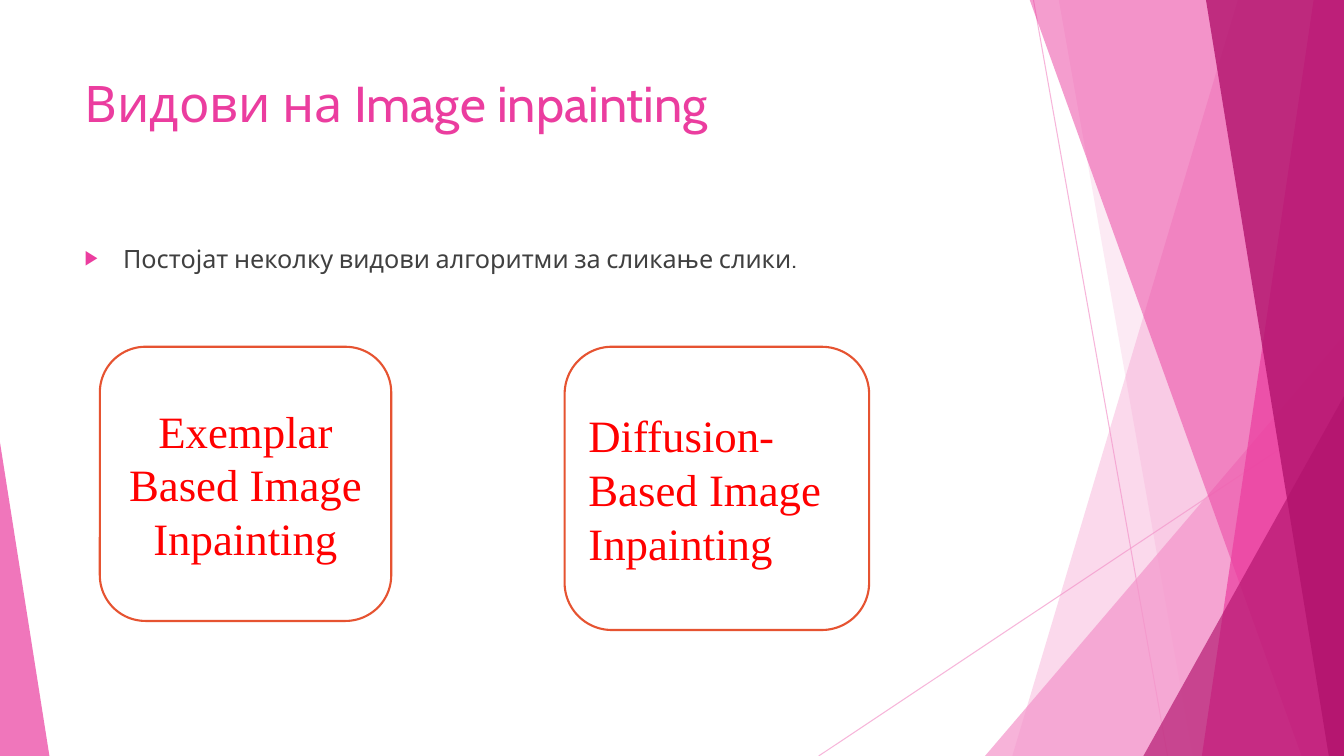
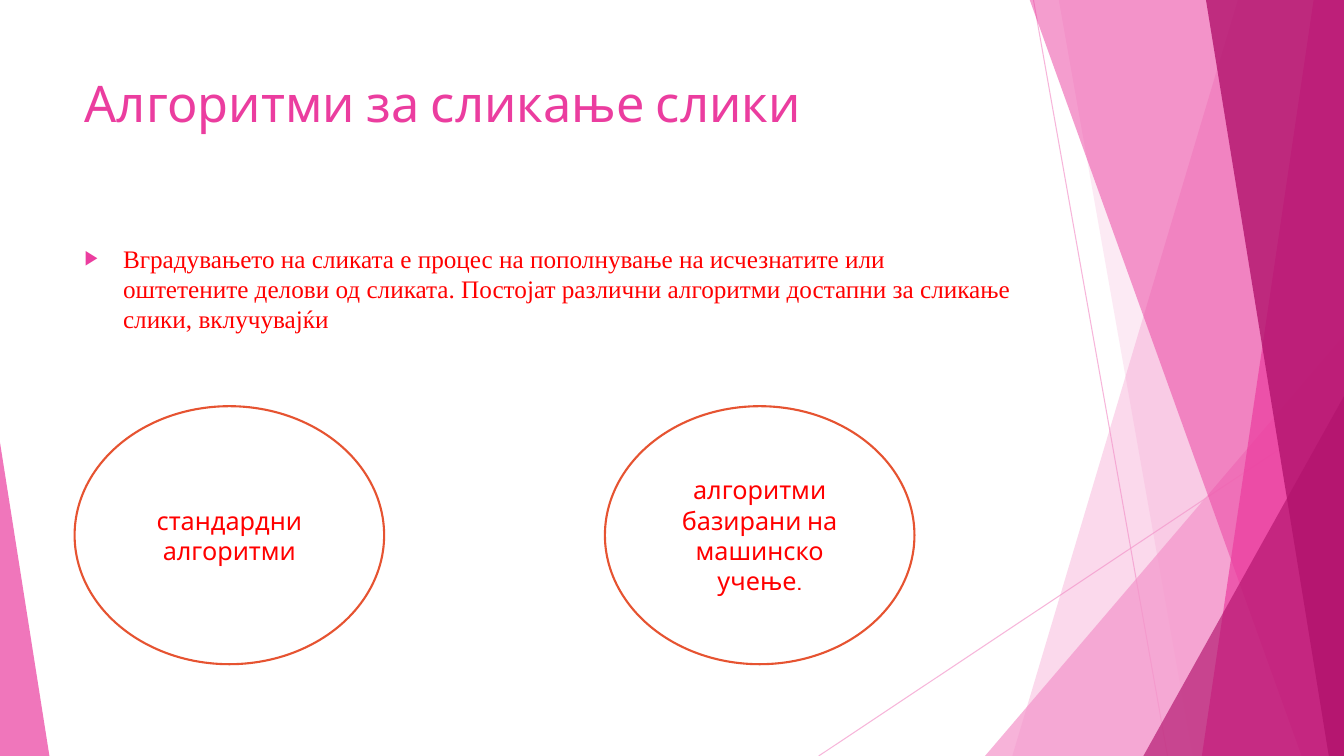
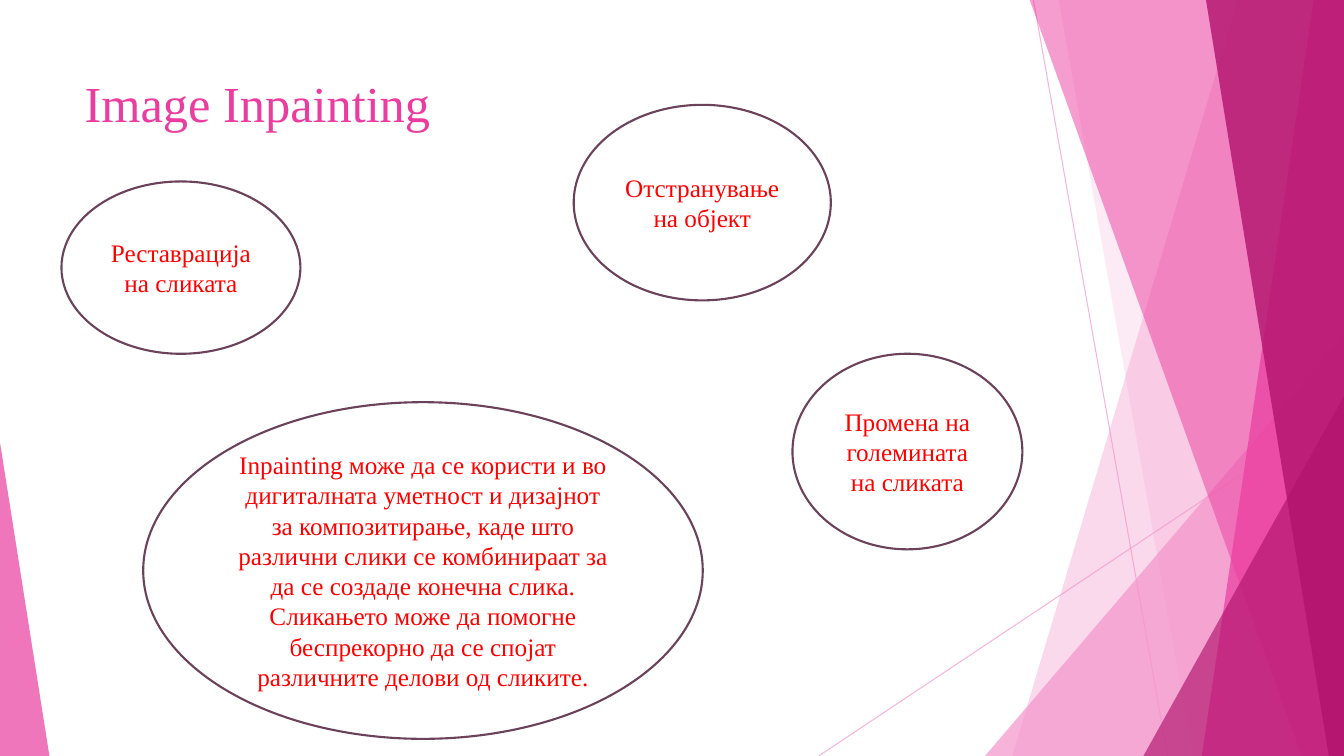
from lxml.etree import SubElement
from pptx import Presentation
from pptx.dml.color import RGBColor
from pptx.enum.shapes import MSO_CONNECTOR, MSO_SHAPE
from pptx.enum.text import MSO_ANCHOR, MSO_AUTO_SIZE, PP_ALIGN
from pptx.oxml.ns import qn
from pptx.util import Inches, Pt

COLORS = {
    "white": "FFFFFF", "text": "404040", "red": "FF0000",
    "light": "F496CB", "pink": "EB3D9F", "deep": "B2136D",
    "orange": "E65331", "plum": "6B4259",
}
SANS, SERIF = "Cabin", "Times New Roman"
WIDTH, HEIGHT = 13.33, 7.5
LEFT, TEXT_WIDTH = 0.74, 9.4
TITLE_ONLY, TITLE_BODY = 5, 1


def rgb(name):
    return RGBColor.from_string(COLORS[name])


class Deck:
    """Holds the style and the current slide."""

    def __init__(self):
        self.prs = Presentation()
        self.prs.slide_width = Inches(WIDTH)
        self.prs.slide_height = Inches(HEIGHT)
        self.s = None

    def slide(self, layout):
        self.s = self.prs.slides.add_slide(self.prs.slide_layouts[layout])

    # Background facets
    def fade(self, fill, percent):
        color = fill._xPr.find(".//" + qn("a:srgbClr"))
        SubElement(color, qn("a:alpha"), val=str(percent * 1000))

    def tint(self, shape, color, percent):
        shape.shadow.inherit = False
        shape.line.fill.background()
        shape.fill.solid()
        shape.fill.fore_color.rgb = rgb(color)
        self.fade(shape.fill, percent)

    def ray(self, x1, y1, x2, y2):
        line = self.s.shapes.add_connector(
            MSO_CONNECTOR.STRAIGHT, *map(Inches, (x1, y1, x2, y2)))
        line.line.width = Pt(0.75)
        line.line.color.rgb = rgb("light")
        self.fade(line.line.fill, 70)
        SubElement(line._element.spPr, qn("a:effectLst"))

    def facet(self, top_x, bottom_x, color, percent):
        """Fill from a slanted edge to the right side of the slide."""
        top = Inches(-0.01)
        right, bottom = Inches(WIDTH), Inches(HEIGHT)
        builder = self.s.shapes.build_freeform(Inches(top_x), top)
        builder.add_line_segments(
            [(right, top), (right, bottom), (Inches(bottom_x), bottom)])
        self.tint(builder.convert_to_shape(), color, percent)

    def corner(self, x, y, w, peak, color, percent):
        """Triangle standing on the bottom edge of the slide."""
        sp = self.s.shapes.add_shape(
            MSO_SHAPE.ISOSCELES_TRIANGLE, *map(Inches, (x, y, w, HEIGHT - y)))
        sp.adjustments[0] = peak
        self.tint(sp, color, percent)

    def background(self):
        """Draw the facets on a new slide and hand them to the master."""
        self.slide(TITLE_BODY)
        placeholders = len(self.s.shapes)
        self.ray(10.25, 0, 11.58, HEIGHT)
        self.ray(WIDTH, 4.03, 8.12, HEIGHT)
        self.facet(12.28, 10.04, "light", 36)
        self.facet(10.5, 11.83, "light", 20)
        self.corner(9.77, 3.33, 3.56, 1, "light", 72)
        self.facet(10.21, 12.91, "pink", 50)
        self.facet(13.03, 11.92, "pink", 70)
        self.facet(11.96, 13.18, "deep", 80)
        self.corner(11.34, 3.93, 1.99, 1, "deep", 66)
        self.corner(0, 4.39, 0.49, 0, "pink", 70)
        tree = self.prs.slide_master.shapes.element
        for i, sp in enumerate(list(self.s.shapes)[placeholders:]):
            tree.insert(2 + i, sp.element)

    # Text
    def add_text(self, tf, text, size, font, color, align):
        tf.word_wrap = True
        tf.auto_size = MSO_AUTO_SIZE.NONE
        p = tf.paragraphs[0]
        p.alignment = align
        p.space_before = Pt(0)
        r = p.add_run()
        r.text = text
        r.font.size = Pt(size)
        r.font.name = font
        r.font.color.rgb = rgb(color)

    def place(self, sp, y, h):
        sp.left, sp.top = Inches(LEFT), Inches(y)
        sp.width, sp.height = Inches(TEXT_WIDTH), Inches(h)
        sp.text_frame.vertical_anchor = MSO_ANCHOR.TOP
        return sp.text_frame

    def title(self, text, font=SANS):
        tf = self.place(self.s.shapes.title, 0.67, 1.44)
        self.add_text(tf, text, 36, font, "pink", PP_ALIGN.LEFT)

    def bullet(self, text, h, font, color):
        tf = self.place(self.s.placeholders[1], 2.36, h)
        pPr = tf.paragraphs[0]._p.get_or_add_pPr()
        pPr.set("marL", str(Inches(0.38)))
        pPr.set("indent", str(-Inches(0.38)))
        bu = SubElement(pPr, qn("a:buClr"))
        SubElement(bu, qn("a:srgbClr"), val=COLORS["pink"])
        SubElement(pPr, qn("a:buSzPct"), val="80000")
        SubElement(pPr, qn("a:buChar"), char="▶")
        self.add_text(tf, text, 18, font, color, PP_ALIGN.LEFT)

    def bubble(self, kind, box, text, line, size=18, font=SERIF,
               align=PP_ALIGN.CENTER):
        sp = self.s.shapes.add_shape(kind, *map(Inches, box))
        sp.shadow.inherit = False
        sp.fill.solid()
        sp.fill.fore_color.rgb = rgb("white")
        sp.line.color.rgb = rgb(line)
        sp.line.width = Pt(1.5)
        sp.text_frame.vertical_anchor = MSO_ANCHOR.MIDDLE
        self.add_text(sp.text_frame, text, size, font, "red", align)


def main():
    d = Deck()

    # Kinds of inpainting
    d.background()
    d.title("Видови на Image inpainting")
    d.bullet("Постојат неколку видови алгоритми за сликање слики.",
             4.24, SANS, "text")
    for box, text, align in (
        ((0.99, 3.44, 2.89, 2.72), "Exemplar Based Image Inpainting",
         PP_ALIGN.CENTER),
        ((5.6, 3.44, 3.02, 2.81), "Diffusion-Based Image Inpainting",
         PP_ALIGN.LEFT),
    ):
        d.bubble(MSO_SHAPE.ROUNDED_RECTANGLE, box, text, "orange",
                 size=32, align=align)

    # Algorithms
    d.slide(TITLE_BODY)
    d.title("Алгоритми за сликање слики")
    d.bullet("Вградувањето на сликата е процес на пополнување на исчезнатите "
             "или оштетените делови од сликата. Постојат различни алгоритми "
             "достапни за сликање слики, вклучувајќи", 1.19, SERIF, "red")
    for x, text in ((LEFT, "стандардни алгоритми"),
                    (6, "алгоритми базирани на машинско учење.")):
        d.bubble(MSO_SHAPE.OVAL, (x, 4.03, 3.07, 2.56), text, "orange",
                 font=SANS)

    # Uses of inpainting
    d.slide(TITLE_ONLY)
    d.title("Image Inpainting", SERIF)
    for box, text in (
        ((0.61, 1.8, 2.37, 1.71), "Реставрација на сликата"),
        ((1.42, 3.99, 5.55, 3.34),
         "Inpainting може да се користи и во дигиталната уметност и дизајнот "
         "за композитирање, каде што различни слики се комбинираат за да се "
         "создаде конечна слика. Сликањето може да помогне беспрекорно да се "
         "спојат различните делови од сликите."),
        ((5.69, 1.04, 2.55, 1.94), "Отстранување на објект"),
        ((7.86, 3.51, 2.28, 1.94), "Промена на големината на сликата"),
    ):
        d.bubble(MSO_SHAPE.OVAL, box, text, "plum")

    d.prs.save("out.pptx")


if __name__ == "__main__":
    main()
